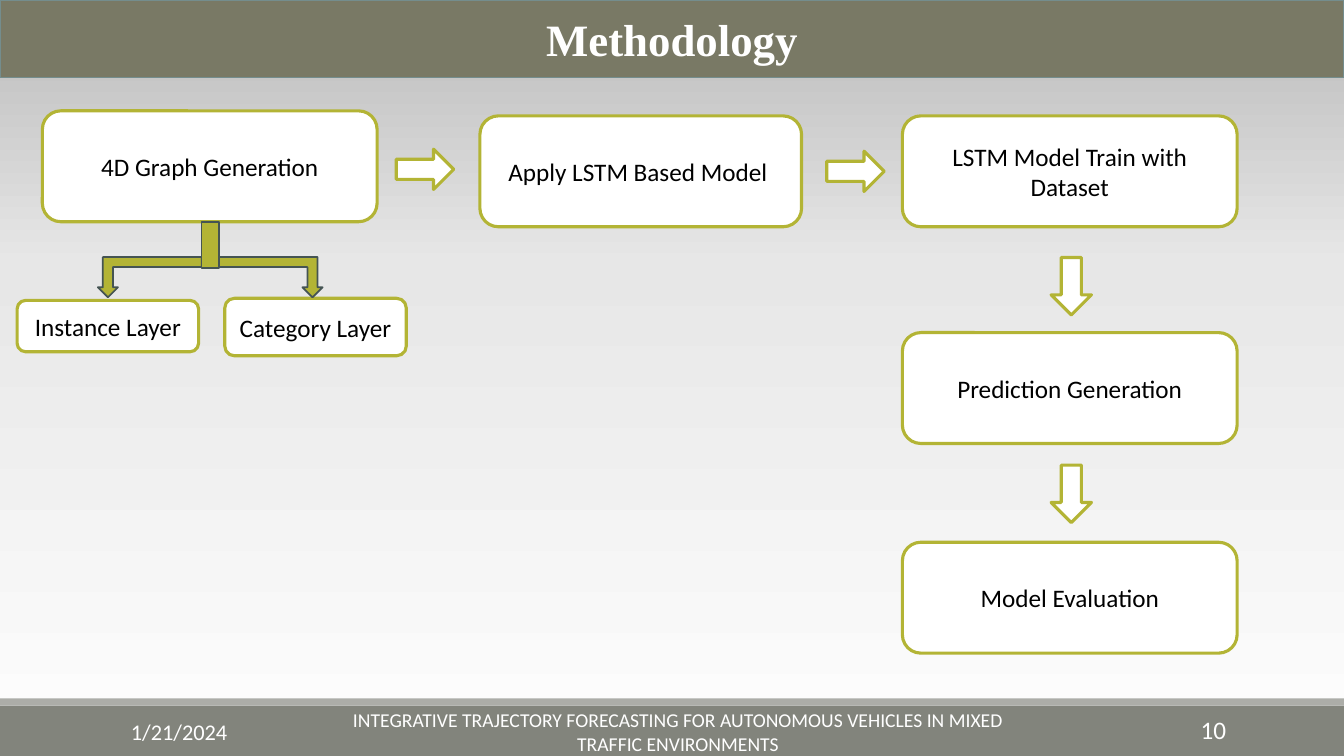
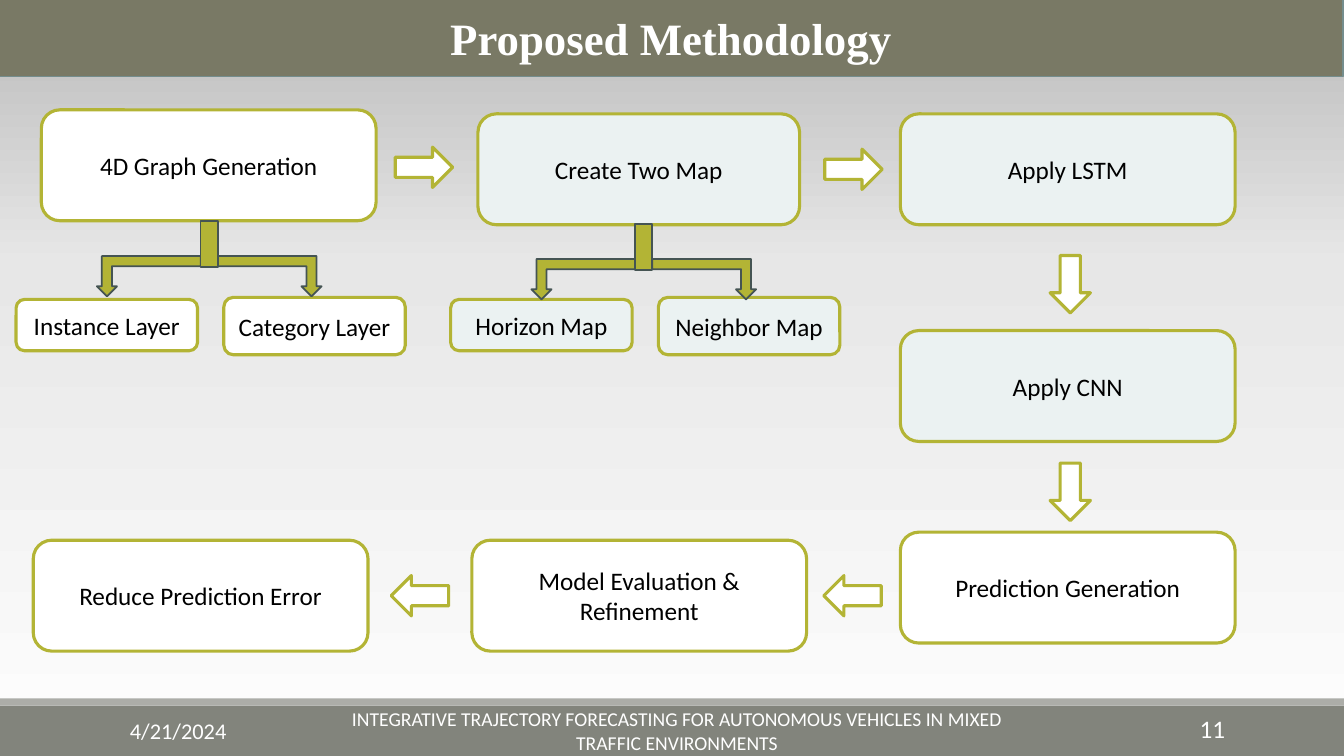
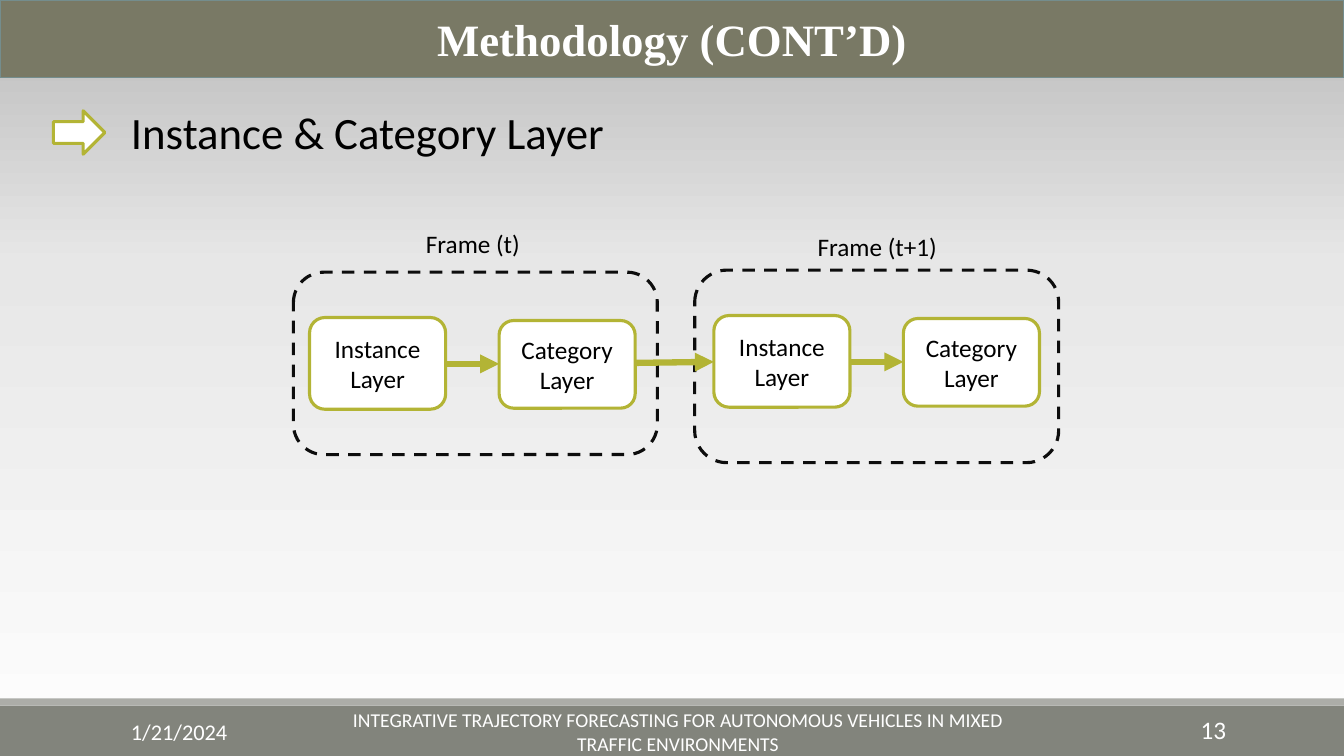
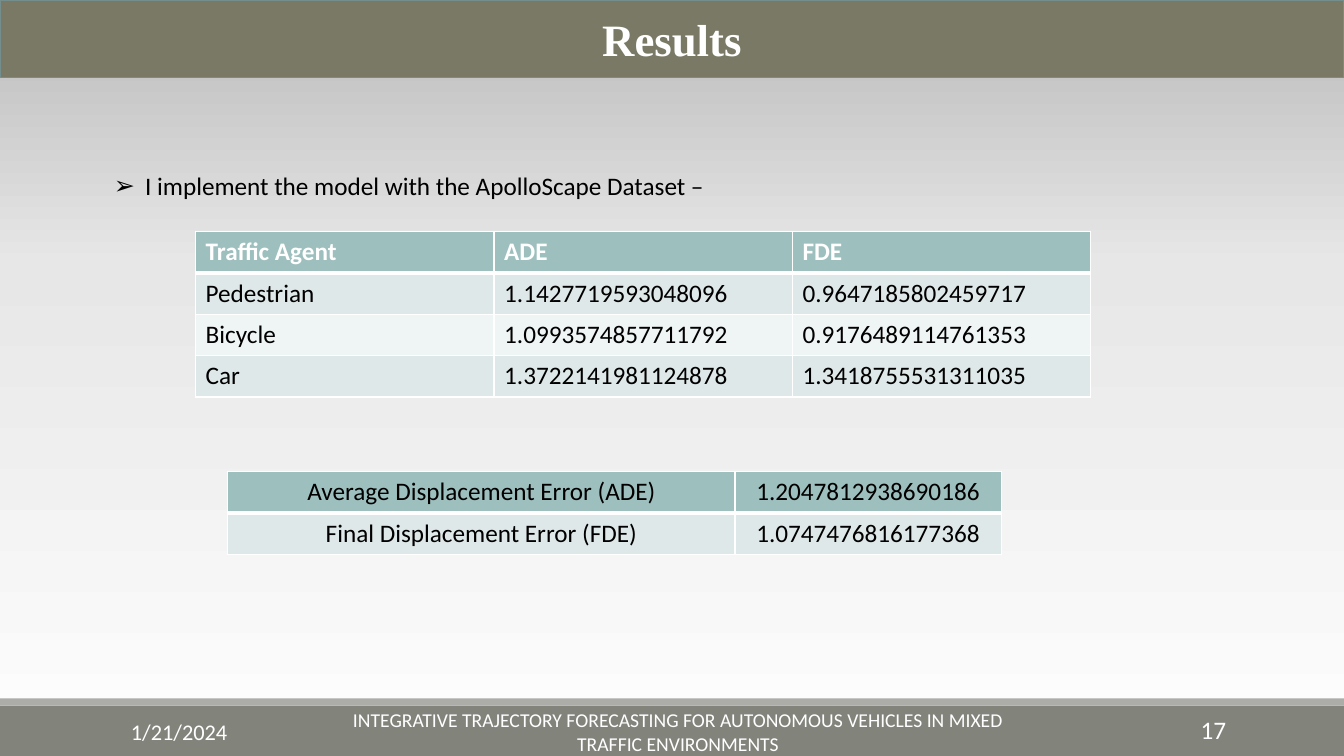
from lxml.etree import SubElement
from pptx import Presentation
from pptx.dml.color import RGBColor
from pptx.enum.dml import MSO_LINE
from pptx.enum.shapes import MSO_CONNECTOR, MSO_SHAPE
from pptx.enum.text import MSO_ANCHOR, PP_ALIGN
from pptx.oxml.ns import qn
from pptx.util import Pt

EMU_PER_PX = 9144  # 100 px to the inch
WIDTH, HEIGHT = 1333, 750

WHITE, BLACK, INK = "FFFFFF", "000000", "0D0D0D"
OLIVE, SLATE, TINT = "B3B435", "455453", "EBF2F2"
BAND, BAND_EDGE = "797965", "748D8D"
FOOTER, FOOTER_RULE = "82847C", "ACADA8"
HEAD_ROW, ODD_ROW, EVEN_ROW = "9DBFBE", "DFE8E8", "EFF4F4"
BACKDROP = ((0, "FEFEFE"), (65, "E7E7E7"), (100, "B9B9B9"))
BODY_FONT, TITLE_FONT = "Calibri", "Times New Roman"
PROJECT = ("INTEGRATIVE TRAJECTORY FORECASTING FOR AUTONOMOUS VEHICLES "
           "IN MIXED TRAFFIC ENVIRONMENTS")
TITLE_ONLY, TITLE_AND_BODY = 5, 1
RIGHT, DOWN, LEFT = 0, 90, 180
BOX_W, BOX_H = 332, 110


def px(*lengths):
    return [length * EMU_PER_PX for length in lengths]


def rgb(color):
    return RGBColor.from_string(color)


class Deck:
    def __init__(self):
        self.prs = Presentation()
        self.prs.slide_width, self.prs.slide_height = px(WIDTH, HEIGHT)
        self.slide = None
        self.backdrop()

    # Shared look
    def backdrop(self):
        master = self.prs.slide_master
        fill = master.background.fill
        fill.gradient()
        fill.gradient_angle = 90
        stops = master._element.cSld.find(".//" + qn("a:gsLst"))
        stops.clear()
        for percent, color in BACKDROP:
            stop = SubElement(stops, qn("a:gs"), pos=str(percent * 1000))
            SubElement(stop, qn("a:srgbClr"), val=color)

    def footer_bands(self):
        """Draw the footer bands and move them to the slide master."""
        tree = self.prs.slide_master.shapes._spTree
        bands = ((700, 50, FOOTER), (693, 7, FOOTER_RULE))
        for order, (top, height, color) in enumerate(bands):
            band = self.shape(MSO_SHAPE.RECTANGLE, 0, top, WIDTH, height, color)
            band._element.nvSpPr.cNvPr.set("id", str(20 + order))
            tree.insert(2 + order, band._element)

    def start(self, title, date, number, layout=TITLE_ONLY, shift=0):
        self.slide = self.prs.slides.add_slide(self.prs.slide_layouts[layout])
        if len(self.prs.slides) == 1:
            self.footer_bands()
        band = self.slide.shapes.title
        self.place(band, shift, shift, WIDTH, 77)
        self.paint(band, BAND, BAND_EDGE, 1.25)
        self.add_text(band.text_frame, title, 32, WHITE, PP_ALIGN.CENTER,
                      MSO_ANCHOR.MIDDLE, TITLE_FONT, True)
        for left, top, width, text, size, align in (
                (120, 706, 270, date, 16, PP_ALIGN.LEFT),
                (338, 706, 669, PROJECT, 14, PP_ALIGN.CENTER),
                (1083, 704, 143, number, 18, PP_ALIGN.RIGHT)):
            self.label(left + shift, top + shift, width, 40, text, size, align,
                       WHITE, MSO_ANCHOR.MIDDLE)

    # Basic steps
    def place(self, part, left, top, width, height):
        part.left, part.top, part.width, part.height = px(left, top, width, height)

    def paint(self, part, fill, line=None, weight=2.25):
        if fill:
            part.fill.solid()
            part.fill.fore_color.rgb = rgb(fill)
        else:
            part.fill.background()
        if line:
            part.line.color.rgb = rgb(line)
            part.line.width = Pt(weight)
        else:
            part.line.fill.background()

    def add_text(self, frame, text, size, color=BLACK, align=PP_ALIGN.LEFT,
                 anchor=MSO_ANCHOR.TOP, font=BODY_FONT, bold=False):
        frame.word_wrap = True
        frame.vertical_anchor = anchor
        paragraph = frame.paragraphs[0]
        paragraph.alignment = align
        run = paragraph.add_run()
        run.text = text
        run.font.size, run.font.name, run.font.bold = Pt(size), font, bold
        run.font.color.rgb = rgb(color)

    # Elements
    def shape(self, preset, left, top, width, height, fill, line=None, weight=2.25):
        part = self.slide.shapes.add_shape(preset, *px(left, top, width, height))
        part.shadow.inherit = False
        self.paint(part, fill, line, weight)
        return part

    def label(self, left, top, width, height, text, size=18,
              align=PP_ALIGN.CENTER, color=BLACK, anchor=MSO_ANCHOR.TOP):
        part = self.slide.shapes.add_textbox(*px(left, top, width, height))
        self.add_text(part.text_frame, text, size, color, align, anchor)

    def box(self, left, top, text, width=BOX_W, height=BOX_H, fill=WHITE):
        part = self.shape(MSO_SHAPE.ROUNDED_RECTANGLE, left, top, width, height,
                          fill, OLIVE)
        self.add_text(part.text_frame, text, 18, BLACK, PP_ALIGN.CENTER,
                      MSO_ANCHOR.MIDDLE)

    def outline(self, left, top, width, height):
        part = self.shape(MSO_SHAPE.ROUNDED_RECTANGLE, left, top, width, height,
                          None, INK)
        part.line.dash_style = MSO_LINE.DASH

    def arrow(self, left, top, turn=RIGHT, width=57, height=40):
        part = self.shape(MSO_SHAPE.RIGHT_ARROW, left, top, width, height,
                          WHITE, OLIVE)
        part.rotation = turn

    def split(self, left, top, drop, names, fill=WHITE):
        """A stem with two bent arrows down to a pair of named boxes."""
        self.box(left - 183, top + drop, names[0], 180, 51, fill)
        self.box(left + 23, top + drop - 2, names[1], 180, 57, fill)
        for offset, flipped in ((-103, False), (17, True)):
            branch = self.shape(MSO_SHAPE.BENT_UP_ARROW, left + offset, top + 35,
                                103, 40, OLIVE, SLATE, 1.25)
            branch.rotation = 180
            if flipped:
                branch._element.spPr.xfrm.set("flipH", "1")
        self.shape(MSO_SHAPE.RECTANGLE, left, top, 17, 46, OLIVE, SLATE, 1.25)

    def link(self, x1, y1, x2, y2):
        line = self.slide.shapes.add_connector(MSO_CONNECTOR.STRAIGHT,
                                               *px(x1, y1, x2, y2))
        line.line.color.rgb = rgb(OLIVE)
        line.line.width = Pt(4.5)
        SubElement(line.line._get_or_add_ln(), qn("a:tailEnd"), type="triangle")
        SubElement(line._element.spPr, qn("a:effectLst"))

    def bullet(self, left, top, width, height, text):
        body = self.slide.placeholders[1]
        self.place(body, left, top, width, height)
        paragraph = body.text_frame.paragraphs[0]
        props = paragraph._p.get_or_add_pPr()
        indent = px(31)[0]
        props.set("marL", str(indent))
        props.set("indent", str(-indent))
        SubElement(props, qn("a:buChar"), char="➢")
        paragraph.space_before = Pt(0)
        self.add_text(body.text_frame, text, 18)

    def table(self, left, top, widths, rows, align, head_color, head_bold):
        row_height = 41
        grid = self.slide.shapes.add_table(
            len(rows), len(widths),
            *px(left, top, sum(widths), row_height * len(rows))).table
        grid.first_row = grid.horz_banding = False
        for column, width in zip(grid.columns, px(*widths)):
            column.width = width
        for r, values in enumerate(rows):
            head = r == 0
            fill = HEAD_ROW if head else (EVEN_ROW, ODD_ROW)[r % 2]
            for c, value in enumerate(values):
                cell = grid.cell(r, c)
                self.borders(cell, 3 if head else 1)
                cell.fill.solid()
                cell.fill.fore_color.rgb = rgb(fill)
                self.add_text(cell.text_frame, value, 18,
                              head_color if head else BLACK, align,
                              bold=head and head_bold)

    def borders(self, cell, bottom):
        props = cell._tc.get_or_add_tcPr()
        for side, weight in (("L", 1), ("R", 1), ("T", 1), ("B", bottom)):
            edge = SubElement(props, qn("a:ln" + side), w=str(Pt(weight)))
            solid = SubElement(edge, qn("a:solidFill"))
            SubElement(solid, qn("a:srgbClr"), val=WHITE)


def methodology(deck):
    deck.start("Methodology", "1/21/2024", "10")
    deck.box(42, 110, "4D Graph Generation")
    deck.box(476, 115, "Apply LSTM Based Model ", 319)
    for top, step in ((115, "LSTM Model Train with Dataset"),
                      (330, "Prediction Generation"),
                      (538, "Model Evaluation")):
        deck.box(895, top, step)
    deck.arrow(393, 148)
    deck.arrow(820, 150)
    for top in (264, 470):
        deck.arrow(1034, top, DOWN)
    deck.split(200, 220, 78, ("Instance Layer", "Category Layer"))


def proposed_methodology(deck):
    deck.start("Proposed Methodology", "4/21/2024", "11", shift=-1)
    deck.box(41, 109, "4D Graph Generation")
    deck.box(474, 113, "Create Two Map", 319, fill=TINT)
    for top, step, fill in ((113, "Apply LSTM", TINT),
                            (328, "Apply CNN", TINT),
                            (528, "Prediction Generation", WHITE)):
        deck.box(893, top, step, fill=fill)
    deck.box(468, 536, "Model Evaluation & Refinement")
    deck.box(33, 536, "Reduce Prediction Error")
    deck.arrow(392, 146)
    deck.arrow(818, 148)
    for top in (262, 468):
        deck.arrow(1033, top, DOWN)
    for left in (817, 388):
        deck.arrow(left, 571, LEFT)
    deck.split(199, 219, 78, ("Instance Layer", "Category Layer"))
    deck.split(630, 222, 75, ("Horizon Map", "Neighbor Map"), TINT)


def layers(deck):
    deck.start("Methodology (CONT’D)", "1/21/2024", "13")
    deck.arrow(53, 110, width=51, height=43)
    deck.label(120, 99, 532, 64, "Instance & Category Layer", 32, PP_ALIGN.LEFT)
    # One row per time frame: first box, then outline and caption
    for caption, left, top, outline_left, outline_height, caption_top in (
            ("Frame (t)", 307, 315, 291, 181, 222),
            ("Frame (t+1)", 708, 313, 689, 191, 225)):
        deck.box(left, top, "Instance Layer", 135, 91)
        deck.box(left + 188, top + 3, "Category Layer", 135, 87)
        deck.link(left + 136, top + 46, left + 188, top + 46)
        deck.outline(outline_left, top - 45, 361, outline_height)
        deck.label(left + 36, caption_top, 252, 40, caption)
    deck.link(631, 360, 708, 359)


def results(deck):
    deck.start("Results", "1/21/2024", "17", TITLE_AND_BODY)
    deck.bullet(103, 164, 1014, 71,
                "I implement the model with the ApolloScape Dataset –")
    deck.table(226, 468, (503, 264), (
        ("Average Displacement Error (ADE)", "1.2047812938690186"),
        ("Final Displacement Error (FDE)", "1.0747476816177368"),
    ), PP_ALIGN.CENTER, BLACK, False)
    deck.table(194, 230, (296, 296, 296), (
        ("Traffic Agent", "ADE", "FDE"),
        ("Pedestrian", "1.1427719593048096", "0.9647185802459717"),
        ("Bicycle", "1.0993574857711792", "0.9176489114761353"),
        ("Car", "1.3722141981124878", "1.3418755531311035"),
    ), PP_ALIGN.LEFT, WHITE, True)


def main():
    deck = Deck()
    for build in (methodology, proposed_methodology, layers, results):
        build(deck)
    deck.prs.save("out.pptx")


if __name__ == "__main__":
    main()
